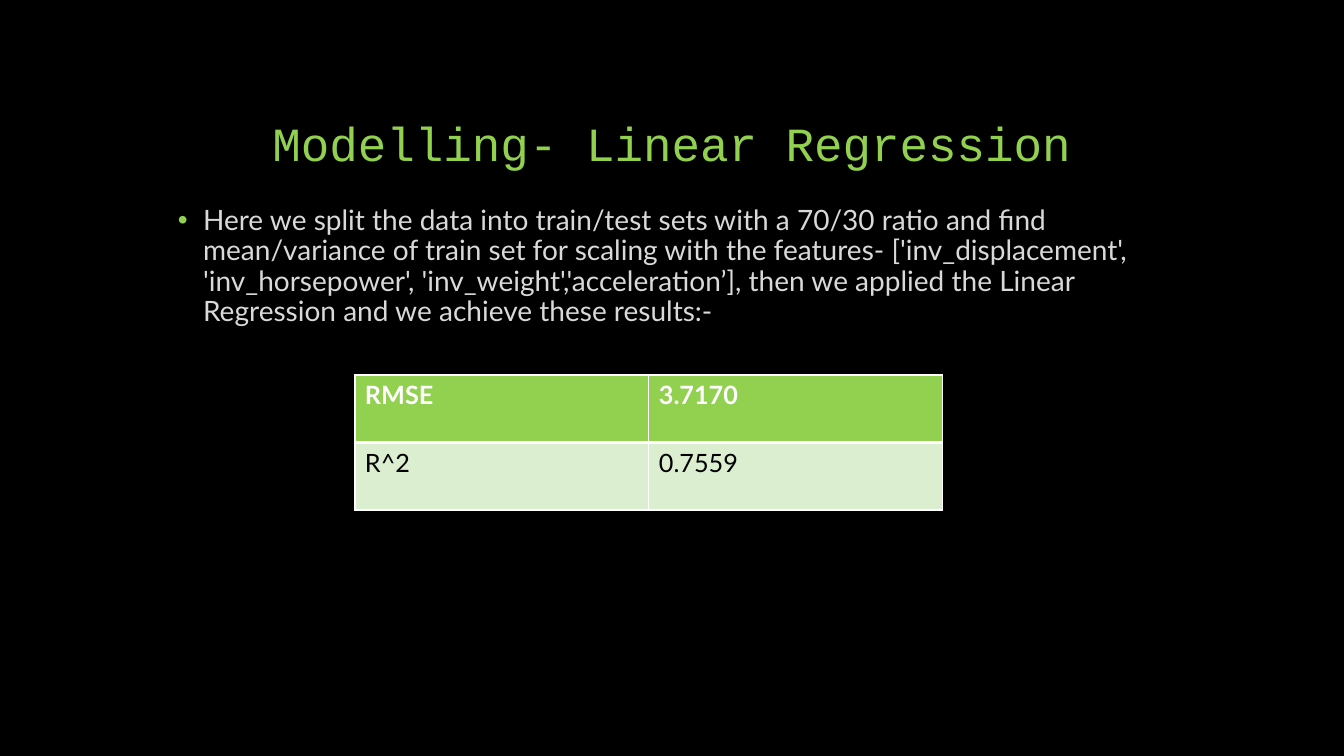
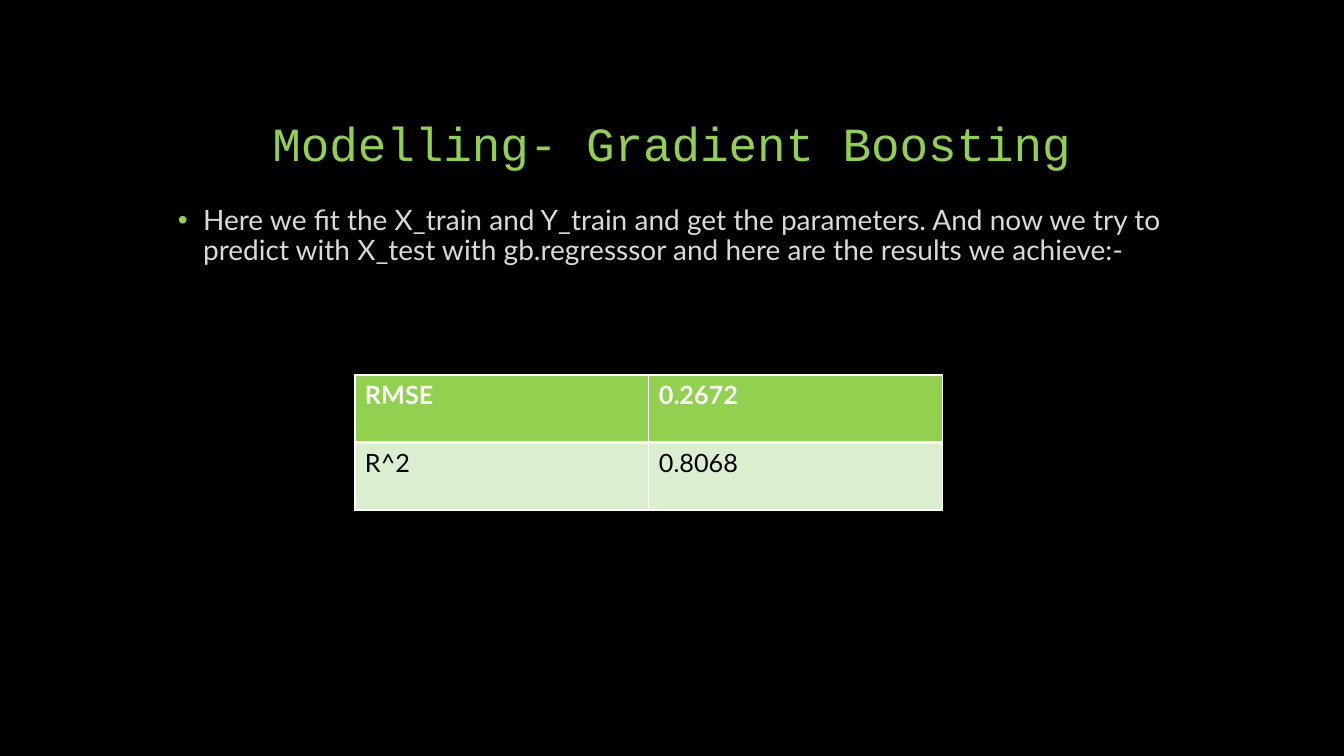
"""Build two slides that each report the scores of one regression model."""
from lxml import etree
from pptx import Presentation
from pptx.dml.color import RGBColor
from pptx.enum.text import MSO_ANCHOR, PP_ALIGN
from pptx.oxml.ns import qn
from pptx.util import Inches, Pt

CENTER = PP_ALIGN.CENTER
BOTTOM, TOP = MSO_ANCHOR.BOTTOM, MSO_ANCHOR.TOP
GREEN, PALE, GREY = "92D050", "DCEED0", "D9D9D9"
WHITE, BLACK = "FFFFFF", "000000"
MONO, SANS = "Courier New", "Lato"
WIDE, HIGH = Inches(13.33), Inches(7.5)
LEFT, SPAN = WIDE // 8, WIDE * 3 // 4

MODELS = [
    ("Modelling- Linear Regression",
     "Here we split the data into train/test sets with a 70/30 ratio and find "
     "mean/variance of train set for scaling with the features- "
     "['inv_displacement', 'inv_horsepower', 'inv_weight','acceleration’], "
     "then we applied the Linear Regression and we achieve these results:-",
     "3.7170", "0.7559"),
    ("Modelling- Gradient Boosting",
     "Here we fit the X_train and Y_train and get the parameters. And now we "
     "try to predict with X_test with gb.regresssor and here are the results "
     "we achieve:-",
     "0.2672", "0.8068"),
]


def paint(fill, tone):
    fill.solid()
    fill.fore_color.rgb = RGBColor.from_string(tone)


def write(frame, text, face, size, tone, bold=False):
    frame.text = text
    frame.word_wrap = True
    para = frame.paragraphs[0]
    font = para.runs[0].font
    font.name, font.size, font.bold = face, Pt(size), bold
    paint(font.fill, tone)
    return para


deck = Presentation()
deck.slide_width, deck.slide_height = WIDE, HIGH
paint(deck.slide_master.background.fill, BLACK)
blank = deck.slide_layouts[6]

for title, body, rmse, score in MODELS:
    slide = deck.slides.add_slide(blank)
    shapes = slide.shapes

    head = shapes.add_textbox(LEFT, HIGH // 15, SPAN, HIGH // 6).text_frame
    para = write(head, title, MONO, 34, GREEN)
    head.vertical_anchor = BOTTOM
    para.alignment, para.line_spacing = CENTER, 0.9

    note = shapes.add_textbox(LEFT, Inches(2), SPAN, Inches(4.67)).text_frame
    para = write(note, body, SANS, 20, GREY)
    note.vertical_anchor = TOP
    para.line_spacing = 0.9
    props = para._p.get_or_add_pPr()
    props.set("marL", str(Inches(0.25)))
    props.set("indent", str(-Inches(0.25)))
    tint = etree.SubElement(props, qn("a:buClr"))
    etree.SubElement(tint, qn("a:srgbClr"), val=GREEN)
    etree.SubElement(props, qn("a:buFont"), typeface="Arial")
    etree.SubElement(props, qn("a:buChar"), char="•")

    grid = shapes.add_table(2, 2, Inches(3.52), Inches(3.72),
                            Inches(5.83), Inches(1.34)).table
    rows = [("RMSE", rmse, GREEN, WHITE, True),
            ("R^2", score, PALE, BLACK, False)]
    for r, (name, value, back, ink, bold) in enumerate(rows):
        edges = {"L": 1, "R": 1, "T": 1 if r == 0 else 3,
                 "B": 3 if r == 0 else 1}
        for c, text in enumerate((name, value)):
            cell = grid.cell(r, c)
            write(cell.text_frame, text, SANS, 18, ink, bold)
            props = cell._tc.get_or_add_tcPr()
            for side, width in edges.items():
                line = etree.SubElement(props, qn("a:ln" + side),
                                        w=str(Pt(width)))
                solid = etree.SubElement(line, qn("a:solidFill"))
                etree.SubElement(solid, qn("a:srgbClr"), val=WHITE)
            paint(cell.fill, back)

deck.save("out.pptx")
